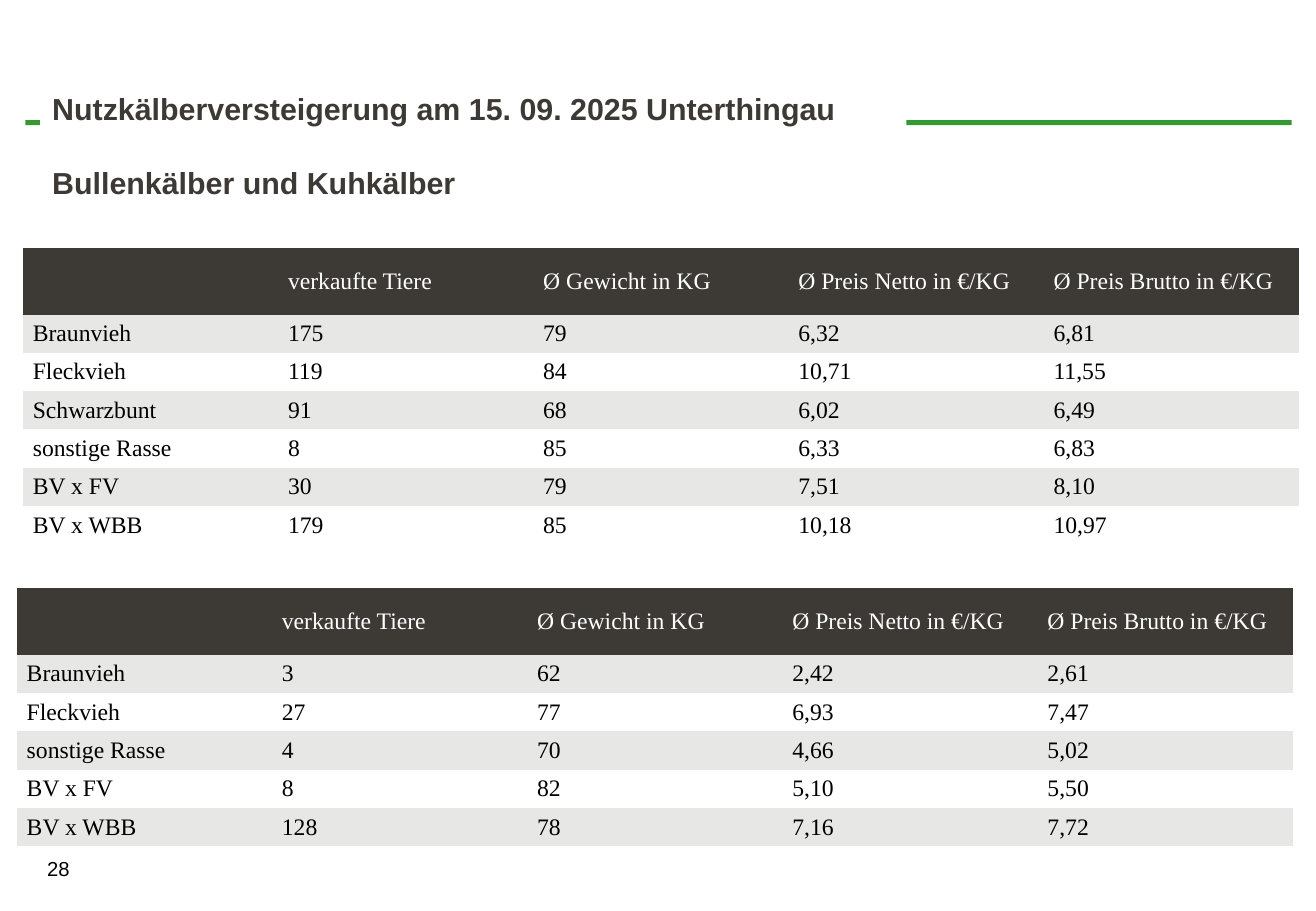
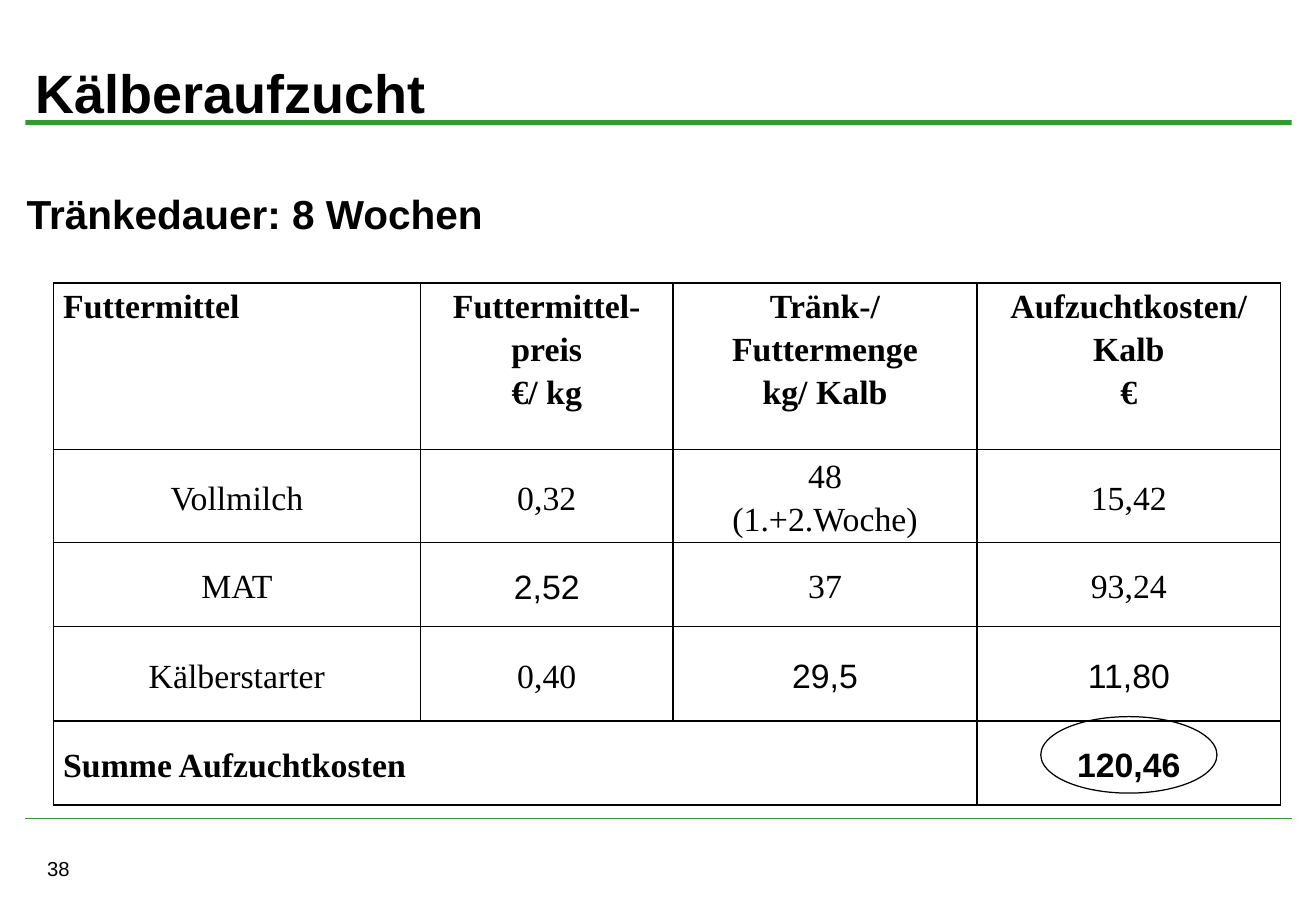
import dataclasses

import lxml.etree
import pptx
import pptx.dml.color
import pptx.enum.shapes
import pptx.enum.text
import pptx.oxml.ns
import pptx.util

Inches = pptx.util.Inches
ALIGN = pptx.enum.text.PP_ALIGN
MIDDLE = pptx.enum.text.MSO_ANCHOR.MIDDLE
TOP = pptx.enum.text.MSO_ANCHOR.TOP
SHAPES = pptx.enum.shapes.MSO_SHAPE
qn = pptx.oxml.ns.qn


@dataclasses.dataclass(frozen=True)
class Theme:
    green: str = "339933"
    dark: str = "3D3935"
    stripe: str = "E7E7E6"
    white: str = "FFFFFF"
    black: str = "000000"
    sans: str = "Arial"
    serif: str = "Times New Roman"
    title_size: int = 32
    subtitle_size: int = 24
    cost_size: int = 20
    heading_size: int = 18
    price_size: int = 14
    number_size: int = 12
    hairline: float = 0.75
    grid_line: int = 1
    plain_table: str = "{2D5ABB26-0587-4C30-8999-92F81FD0307C}"


@dataclasses.dataclass(frozen=True)
class Box:
    """A rectangle in inches."""
    left: float
    top: float
    width: float
    height: float

    def lengths(self):
        return [Inches(value) for value in dataclasses.astuple(self)]


THEME = Theme()

PRICE_HEADER = ["", "verkaufte Tiere", "Ø Gewicht in KG", "Ø Preis Netto in €/KG", "Ø Preis Brutto in €/KG"]
BULL_CALVES = [
    ["Braunvieh", "175", "79", "6,32", "6,81"],
    ["Fleckvieh", "119", "84", "10,71", "11,55"],
    ["Schwarzbunt", "91", "68", "6,02", "6,49"],
    ["sonstige Rasse", "8", "85", "6,33", "6,83"],
    ["BV x FV", "30", "79", "7,51", "8,10"],
    ["BV x WBB", "179", "85", "10,18", "10,97"],
]
COW_CALVES = [
    ["Braunvieh", "3", "62", "2,42", "2,61"],
    ["Fleckvieh", "27", "77", "6,93", "7,47"],
    ["sonstige Rasse", "4", "70", "4,66", "5,02"],
    ["BV x FV", "8", "82", "5,10", "5,50"],
    ["BV x WBB", "128", "78", "7,16", "7,72"],
]
COSTS = [
    ["Futtermittel", "Futtermittel-preis\n€/ kg", "Tränk-/ Futtermenge\nkg/ Kalb", "Aufzuchtkosten/ Kalb\n€"],
    ["Vollmilch", "0,32", "48\n(1.+2.Woche)", "15,42"],
    ["MAT", "2,52", "37", "93,24"],
    ["Kälberstarter", "0,40", "29,5", "11,80"],
    ["Summe Aufzuchtkosten", "", "", "120,46"],
]
COST_COLUMNS = [3.02, 2.08, 2.5, 2.5]
COST_ROWS = [1.37, 0.7, 0.69, 0.78, 0.69]
SANS_COST_CELLS = {(2, 1), (3, 2), (3, 3), (4, 3)}


def rgb(colour):
    return pptx.dml.color.RGBColor.from_string(colour)


def fill_solid(item, colour):
    item.fill.solid()
    item.fill.fore_color.rgb = rgb(colour)


def write(frame, text, size, font=THEME.sans, colour=THEME.black, bold=False,
          align=ALIGN.LEFT, line_spacing=None):
    frame.word_wrap = True
    frame.text = text
    for para in frame.paragraphs:
        para.alignment = align
        if line_spacing:
            para.line_spacing = line_spacing
        para.font.size = pptx.util.Pt(size)
        for span in para.runs:
            span.font.name = font
            span.font.size = pptx.util.Pt(size)
            span.font.bold = bold
            span.font.color.rgb = rgb(colour)


def add_text(page, box, text, size, bold=False):
    frame = page.shapes.add_textbox(*box.lengths()).text_frame
    write(frame, text, size, bold=bold)
    frame.vertical_anchor = MIDDLE


def place_title(page, box, text, size, colour):
    title = page.shapes.title
    title.left, title.top, title.width, title.height = box.lengths()
    write(title.text_frame, text, size, colour=colour, bold=True)
    title.text_frame.vertical_anchor = MIDDLE
    title.text_frame.auto_size = pptx.enum.text.MSO_AUTO_SIZE.NONE
    return title


def add_rules_to_layout(layout, page, box):
    """Draw the green band and the foot line, then hand them to the layout."""
    band = page.shapes.add_shape(SHAPES.RECTANGLE, *Box(box.left, box.top, box.width, 0.04).lengths())
    band.shadow.inherit = False
    fill_solid(band, THEME.green)
    band.line.fill.background()
    bottom = Inches(box.top + box.height)
    foot = page.shapes.add_connector(
        pptx.enum.shapes.MSO_CONNECTOR.STRAIGHT,
        Inches(box.left), bottom, Inches(box.left + box.width), bottom)
    foot.line.color.rgb = rgb(THEME.green)
    foot.line.width = pptx.util.Pt(THEME.hairline)
    lxml.etree.SubElement(foot.element.spPr, qn("a:effectLst"))
    for rule in (band, foot):
        layout.shapes.element.append(rule.element)


def add_page(deck, layout, number):
    page = deck.slides.add_slide(layout)
    add_text(page, Box(0.29, 7, 2.55, 0.3), number, THEME.number_size)
    return page


def add_plain_table(page, box, rows, widths, heights, inset):
    """Add an unstyled table; return it after setting sizes and margins."""
    frame = page.shapes.add_table(len(rows), len(widths), *box.lengths())
    table = frame.table
    table.first_row = table.horz_banding = False
    next(frame.element.iter(qn("a:tableStyleId"))).text = THEME.plain_table
    for column, width in zip(table.columns, widths):
        column.width = Inches(width)
    for row, height in zip(table.rows, heights):
        row.height = Inches(height)
    for cell in table.iter_cells():
        cell.margin_left = cell.margin_right = Inches(0.08)
        cell.margin_top = cell.margin_bottom = Inches(inset)
        cell.vertical_anchor = MIDDLE
    return table


def add_price_table(page, box, records):
    rows = [PRICE_HEADER] + records
    header_height = 0.55
    row_height = (box.height - header_height) / len(records)
    heights = [header_height] + [row_height] * len(records)
    widths = [box.width / len(PRICE_HEADER)] * len(PRICE_HEADER)
    table = add_plain_table(page, box, rows, widths, heights, 0.04)
    for row_index, row in enumerate(rows):
        if row_index == 0:
            fill, colour = THEME.dark, THEME.white
        else:
            fill, colour = (THEME.stripe if row_index % 2 else THEME.white), THEME.black
        for column_index, text in enumerate(row):
            cell = table.cell(row_index, column_index)
            write(cell.text_frame, text, THEME.price_size, THEME.serif, colour)
            fill_solid(cell, fill)


def border_cell(cell):
    properties = cell._tc.get_or_add_tcPr()
    for side in ("a:lnL", "a:lnR", "a:lnT", "a:lnB"):
        line = lxml.etree.SubElement(properties, qn(side), w=str(pptx.util.Pt(THEME.grid_line)))
        solid = lxml.etree.SubElement(line, qn("a:solidFill"))
        lxml.etree.SubElement(solid, qn("a:srgbClr"), val=THEME.black)


def add_cost_table(page, box):
    """Add the cost grid and ring its total."""
    table = add_plain_table(page, box, COSTS, COST_COLUMNS, COST_ROWS, 0)
    last = len(COSTS) - 1
    for row_index, row in enumerate(COSTS):
        for column_index, text in enumerate(row):
            cell = table.cell(row_index, column_index)
            border_cell(cell)
            cell.fill.background()
            if row_index == 0:
                cell.vertical_anchor = TOP
            outer_row = row_index in (0, last)
            write(cell.text_frame, text, THEME.cost_size,
                  font=THEME.sans if (row_index, column_index) in SANS_COST_CELLS else THEME.serif,
                  bold=outer_row,
                  align=ALIGN.LEFT if outer_row and column_index == 0 else ALIGN.CENTER,
                  line_spacing=1.15)
    table.cell(last, 0).merge(table.cell(last, 2))

    ring_width, ring_height = 1.45, 0.63
    ring_left = box.left + sum(COST_COLUMNS[:-1]) + (COST_COLUMNS[-1] - ring_width) / 2
    ring_top = box.top + sum(COST_ROWS[:-1]) + (COST_ROWS[-1] - ring_height) / 2
    ring = page.shapes.add_shape(SHAPES.OVAL, *Box(ring_left, ring_top, ring_width, ring_height).lengths())
    ring.shadow.inherit = False
    ring.fill.background()
    ring.line.color.rgb = rgb(THEME.black)
    ring.line.width = pptx.util.Pt(THEME.hairline)


def fill_auction_page(page):
    title = place_title(
        page, Box(0.33, 0.69, 7.13, 1.01),
        "Nutzkälberversteigerung am 15. 09. 2025 Unterthingau\nBullenkälber und Kuhkälber",
        THEME.heading_size, THEME.dark)
    fill_solid(title, THEME.white)
    title.text_frame.paragraphs[1].space_before = pptx.util.Pt(22.5)
    add_price_table(page, Box(0.19, 2.04, 10.5, 2.44), BULL_CALVES)
    add_price_table(page, Box(0.14, 4.84, 10.5, 2.13), COW_CALVES)


def fill_rearing_page(page):
    place_title(page, Box(0.19, 0.32, 10.45, 0.87), "Kälberaufzucht", THEME.title_size, THEME.black)
    add_text(page, Box(0.12, 1.51, 3.99, 0.5), "Tränkedauer: 8 Wochen", THEME.subtitle_size, bold=True)
    add_cost_table(page, Box(0.44, 2.33, sum(COST_COLUMNS), sum(COST_ROWS)))


def main():
    deck = pptx.Presentation()
    deck.slide_width, deck.slide_height = Inches(10.83), Inches(7.5)
    layout = deck.slide_layouts.get_by_name("Title Only")
    auction_page = add_page(deck, layout, "28")
    add_rules_to_layout(layout, auction_page, Box(0.21, 0.99, 10.42, 5.75))
    fill_auction_page(auction_page)
    fill_rearing_page(add_page(deck, layout, "38"))
    deck.save("out.pptx")


if __name__ == "__main__":
    main()
